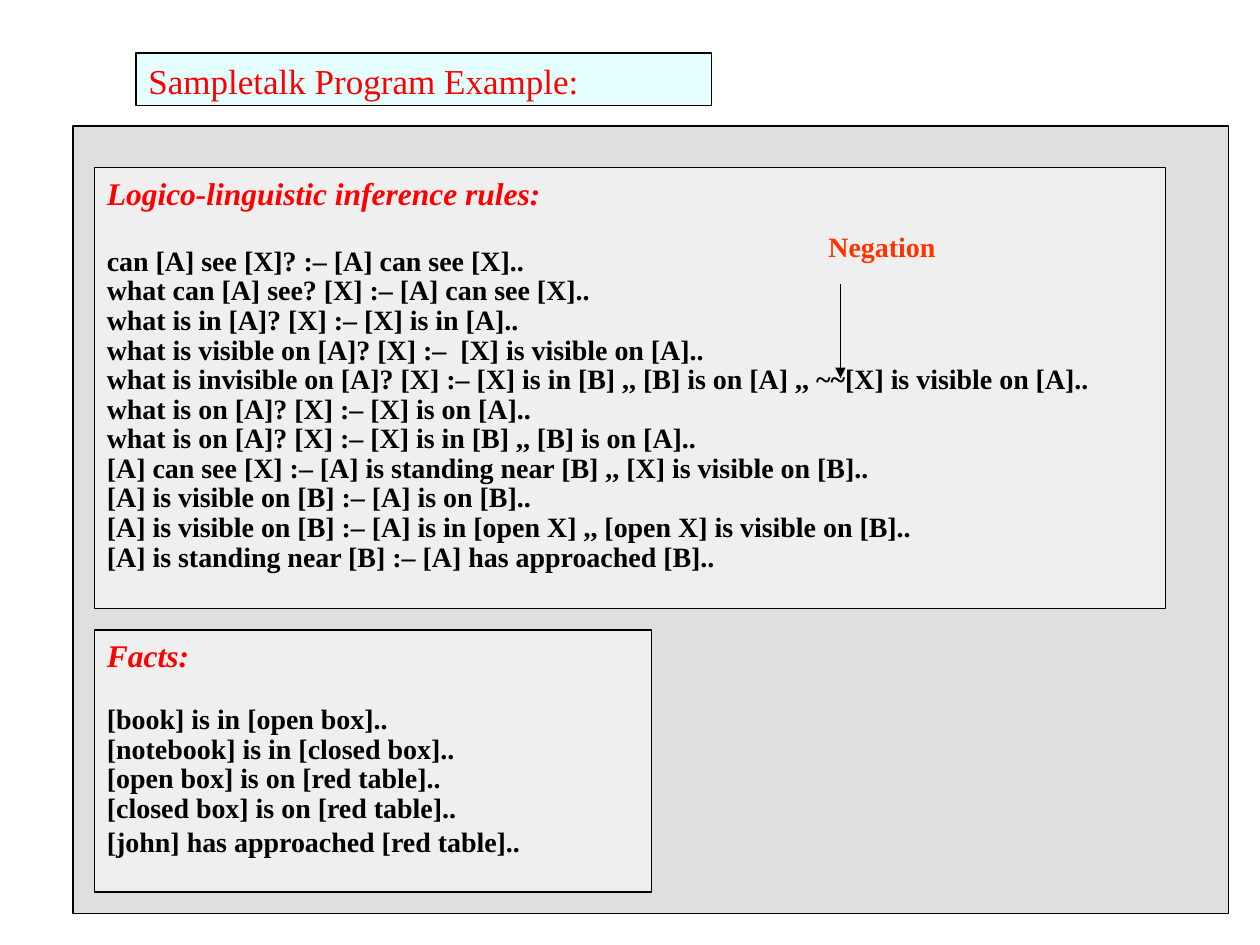
from lxml import etree
from pptx import Presentation
from pptx import util as u
from pptx.dml.color import RGBColor
from pptx.enum import shapes, text
from pptx.oxml.ns import qn

FONT = "Times New Roman"
BLACK = RGBColor(0, 0, 0)
WHITE = RGBColor(255, 255, 255)
SILVER = RGBColor(0xC0, 0xC0, 0xC0)
PALE_CYAN = RGBColor(0xCC, 0xFF, 0xFF)
RED = RGBColor(255, 0, 0)
ORANGE = RGBColor(0xFF, 0x33, 0)

TITLE = "Sampletalk Program Example:"
RULES = [
    "can [A] see [X]? :– [A] can see [X]..",
    "what can [A] see? [X] :– [A] can see [X]..",
    "what is in [A]? [X] :– [X] is in [A]..",
    "what is visible on [A]? [X] :–  [X] is visible on [A]..",
    "what is invisible on [A]? [X] :– [X] is in [B] ,, [B] is on [A] ,, ~~[X] is visible on [A]..",
    "what is on [A]? [X] :– [X] is on [A]..",
    "what is on [A]? [X] :– [X] is in [B] ,, [B] is on [A]..",
    "[A] can see [X] :– [A] is standing near [B] ,, [X] is visible on [B]..",
    "[A] is visible on [B] :– [A] is on [B]..",
    "[A] is visible on [B] :– [A] is in [open X] ,, [open X] is visible on [B]..",
    "[A] is standing near [B] :– [A] has approached [B]..",
]
FACTS = [
    "[book] is in [open box]..",
    "[notebook] is in [closed box]..",
    "[open box] is on [red table]..",
    "[closed box] is on [red table]..",
    "[john] has approached [red table]..",
]
# heading, lines, place, gap below the heading in points
PANELS = [
    ("Facts:", FACTS, (0.75, 5, 4.42, 2.08), 18.4),
    ("Logico-linguistic inference rules:", RULES, (0.75, 1.33, 8.5, 3.5), 20.7),
]


def add_box(page, place, color):
    """Add an outlined rectangle with a half-transparent fill."""
    box = page.shapes.add_shape(shapes.MSO_SHAPE.RECTANGLE, *map(u.Inches, place))
    box.shadow.inherit = False
    box.fill.solid()
    box.fill.fore_color.rgb = color
    tint = box.fill._xPr.find(qn("a:solidFill"))[0]
    etree.SubElement(tint, qn("a:alpha"), val="50000")
    box.line.color.rgb = BLACK
    box.line.width = u.Pt(0.75)
    box.text_frame.word_wrap = True
    box.text_frame.vertical_anchor = text.MSO_ANCHOR.TOP
    return box


def write(para, words, size, color, bold=False, italic=False, align=text.PP_ALIGN.LEFT):
    para.alignment = align
    span = para.add_run()
    span.text = words
    font = span.font
    font.name, font.size, font.bold, font.italic = FONT, u.Pt(size), bold, italic
    font.color.rgb = color


def add_panel(page, heading, lines, place, gap):
    frame = add_box(page, place, WHITE).text_frame
    write(frame.paragraphs[0], heading, 18, RED, bold=True, italic=True)
    for number, line in enumerate(lines):
        para = frame.add_paragraph()
        if number == 0:
            para.space_before = u.Pt(gap)
        if line is FACTS[-1]:
            write(para, line, 16, BLACK, bold=True)
        else:
            para.line_spacing = 0.88
            write(para, line, 16, BLACK, bold=True, align=text.PP_ALIGN.JUSTIFY)


def add_negation_note(page):
    label = page.shapes.add_textbox(*map(u.Inches, (5.75, 1.58, 2.5, 0.75)))
    label.text_frame.word_wrap = False
    label.text_frame.vertical_anchor = text.MSO_ANCHOR.MIDDLE
    write(label.text_frame.paragraphs[0], "Negation", 16, ORANGE, bold=True,
          align=text.PP_ALIGN.CENTER)
    arrow = page.shapes.add_connector(
        shapes.MSO_CONNECTOR.STRAIGHT, *map(u.Inches, (6.67, 2.25, 6.67, 3)))
    arrow.line.color.rgb = BLACK
    arrow.line.width = u.Pt(0.75)
    etree.SubElement(arrow.line._get_or_add_ln(), qn("a:tailEnd"), type="triangle")
    etree.SubElement(arrow._element.spPr, qn("a:effectLst"))


def main():
    deck = Presentation()
    deck.slide_width, deck.slide_height = u.Inches(10), u.Inches(7.5)
    page = deck.slides.add_slide(deck.slide_layouts[6])
    add_box(page, (0.58, 1, 9.17, 6.25), SILVER)
    for panel in PANELS:
        add_panel(page, *panel)
    title = add_box(page, (1.08, 0.42, 4.57, 0.42), PALE_CYAN)
    write(title.text_frame.paragraphs[0], TITLE, 20, RED)
    add_negation_note(page)
    deck.save("out.pptx")


if __name__ == "__main__":
    main()
